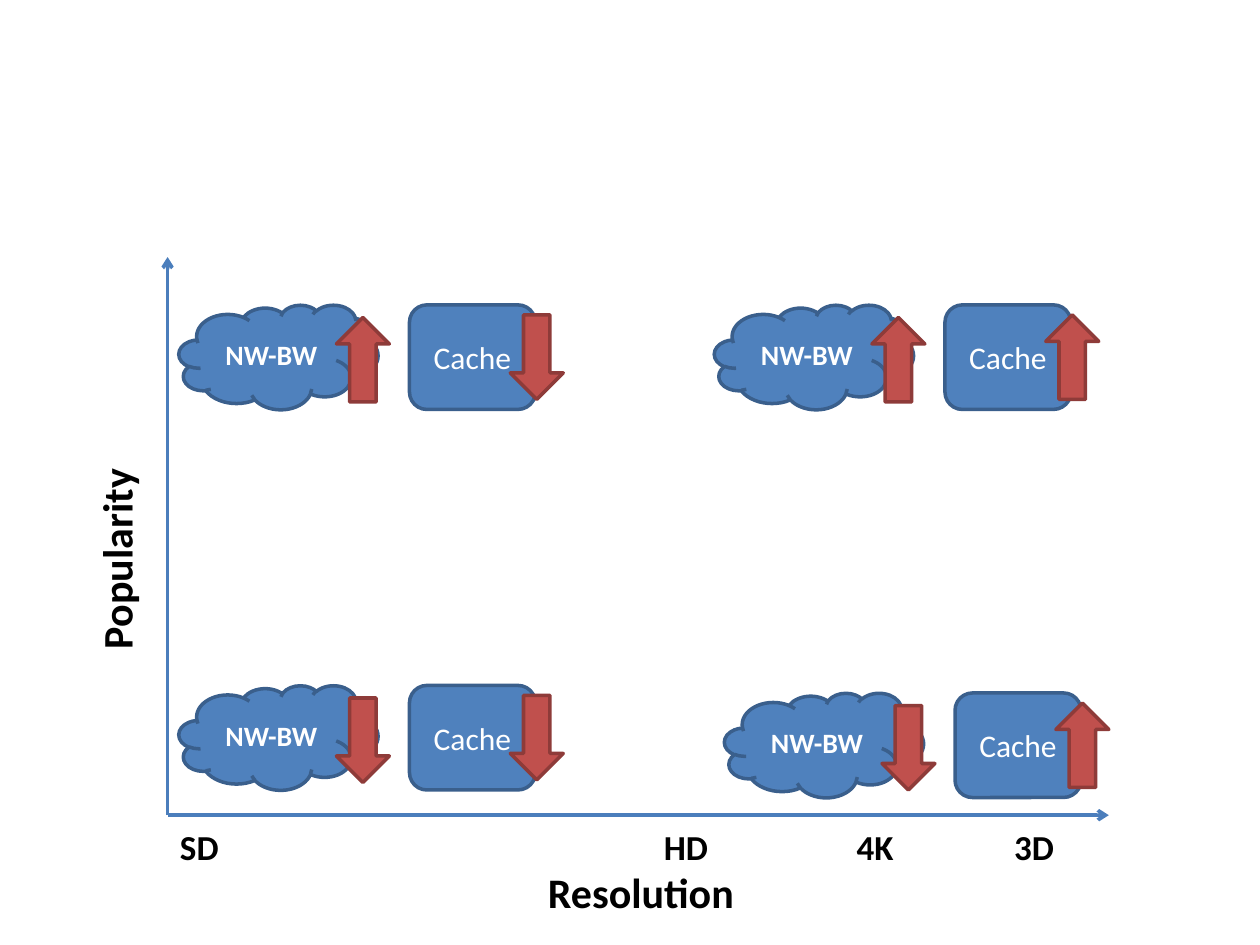
import pptx
import pptx.util
import pptx.dml.color
import pptx.enum.shapes
import pptx.enum.text
import pptx.oxml
import pptx.oxml.ns

Inches = pptx.util.Inches
Pt = pptx.util.Pt
RGBColor = pptx.dml.color.RGBColor
MSO_SHAPE = pptx.enum.shapes.MSO_SHAPE

BLACK = RGBColor(0x00, 0x00, 0x00)
WHITE = RGBColor(0xFF, 0xFF, 0xFF)
AXIS_BLUE = RGBColor(0x4B, 0x7E, 0xBC)
BLUE = RGBColor(0x4F, 0x81, 0xBD)
BLUE_EDGE = RGBColor(0x3A, 0x5F, 0x8C)
RED = RGBColor(0xC0, 0x50, 0x4D)
RED_EDGE = RGBColor(0x8E, 0x3B, 0x39)

AXIS_TITLE = {"name": "Calibri", "size": Pt(24), "bold": True}
TICK = {"name": "Calibri", "size": Pt(20), "bold": True}
NETWORK = {"name": "Calibri", "size": Pt(16), "bold": True}
CACHE = {"name": "Calibri", "size": Pt(18), "bold": False}

ORIGIN = (1.33, 6.47)
UP, DOWN = MSO_SHAPE.UP_ARROW, MSO_SHAPE.DOWN_ARROW
SCENARIOS = [
    (1.42, 5.44, DOWN, DOWN),
    (5.75, 5.5, DOWN, UP),
    (1.42, 2.42, UP, DOWN),
    (5.67, 2.42, UP, UP),
]
TICKS = [("SD", 1.33), ("HD", 5.17), ("4K", 6.7), ("3D", 7.95)]


def write(frame, text, font_format, color):
    run = frame.paragraphs[0].add_run()
    run.text = text
    for attribute, value in font_format.items():
        setattr(run.font, attribute, value)
    run.font.color.rgb = color


def add_axis(slide, end):
    axis = slide.shapes.add_connector(
        pptx.enum.shapes.MSO_CONNECTOR.STRAIGHT, *map(Inches, ORIGIN + end))
    axis.line.color.rgb = AXIS_BLUE
    axis.line.width = Pt(2)
    arrowhead = pptx.oxml.parse_xml(
        '<a:tailEnd %s type="arrow"/>' % pptx.oxml.ns.nsdecls("a"))
    axis.line._get_or_add_ln().append(arrowhead)
    properties = axis._element.spPr
    properties.append(pptx.oxml.parse_xml(
        "<a:effectLst %s/>" % pptx.oxml.ns.nsdecls("a")))


def add_label(slide, text, box, font_format, rotation=0):
    label = slide.shapes.add_textbox(*map(Inches, box))
    label.rotation = rotation
    label.text_frame.word_wrap = True
    label.text_frame.auto_size = pptx.enum.text.MSO_AUTO_SIZE.SHAPE_TO_FIT_TEXT
    write(label.text_frame, text, font_format, BLACK)


def add_block(slide, preset, box, fill, edge):
    block = slide.shapes.add_shape(preset, *map(Inches, box))
    block.shadow.inherit = False
    block.fill.solid()
    block.fill.fore_color.rgb = fill
    block.line.color.rgb = edge
    block.line.width = Pt(2)
    return block


def add_resource(slide, preset, box, text, font_format):
    resource = add_block(slide, preset, box, BLUE, BLUE_EDGE)
    frame = resource.text_frame
    frame.word_wrap = True
    frame.vertical_anchor = pptx.enum.text.MSO_ANCHOR.MIDDLE
    frame.paragraphs[0].alignment = pptx.enum.text.PP_ALIGN.CENTER
    write(frame, text, font_format, WHITE)


def add_scenario(slide, left, top, network_trend, cache_trend):
    add_resource(slide, MSO_SHAPE.CLOUD, (left, top, 1.58, 0.83), "NW-BW", NETWORK)
    add_resource(slide, MSO_SHAPE.ROUNDED_RECTANGLE, (left + 1.83, top, 1, 0.83),
                 "Cache", CACHE)
    for trend, dx, dy in [(cache_trend, 2.63, 0.08), (network_trend, 1.25, 0.1)]:
        add_block(slide, trend, (left + dx, top + dy, 0.42, 0.67), RED, RED_EDGE)


def main():
    deck = pptx.Presentation()
    deck.slide_width, deck.slide_height = Inches(10), Inches(7.5)
    slide = deck.slides.add_slide(deck.slide_layouts[6])
    for end in [(1.33, 2.04), (8.8, 6.47)]:
        add_axis(slide, end)
    add_label(slide, "Resolution", (4.25, 6.83, 2.58, 0.5), AXIS_TITLE)
    add_label(slide, "Popularity", (-0.06, 4.02, 1.96, 0.5), AXIS_TITLE, 270)
    for scenario in SCENARIOS:
        add_scenario(slide, *scenario)
    for text, left in reversed(TICKS):
        add_label(slide, text, (left, 6.5, 0.72, 0.44), TICK)
    deck.save("out.pptx")


main()
